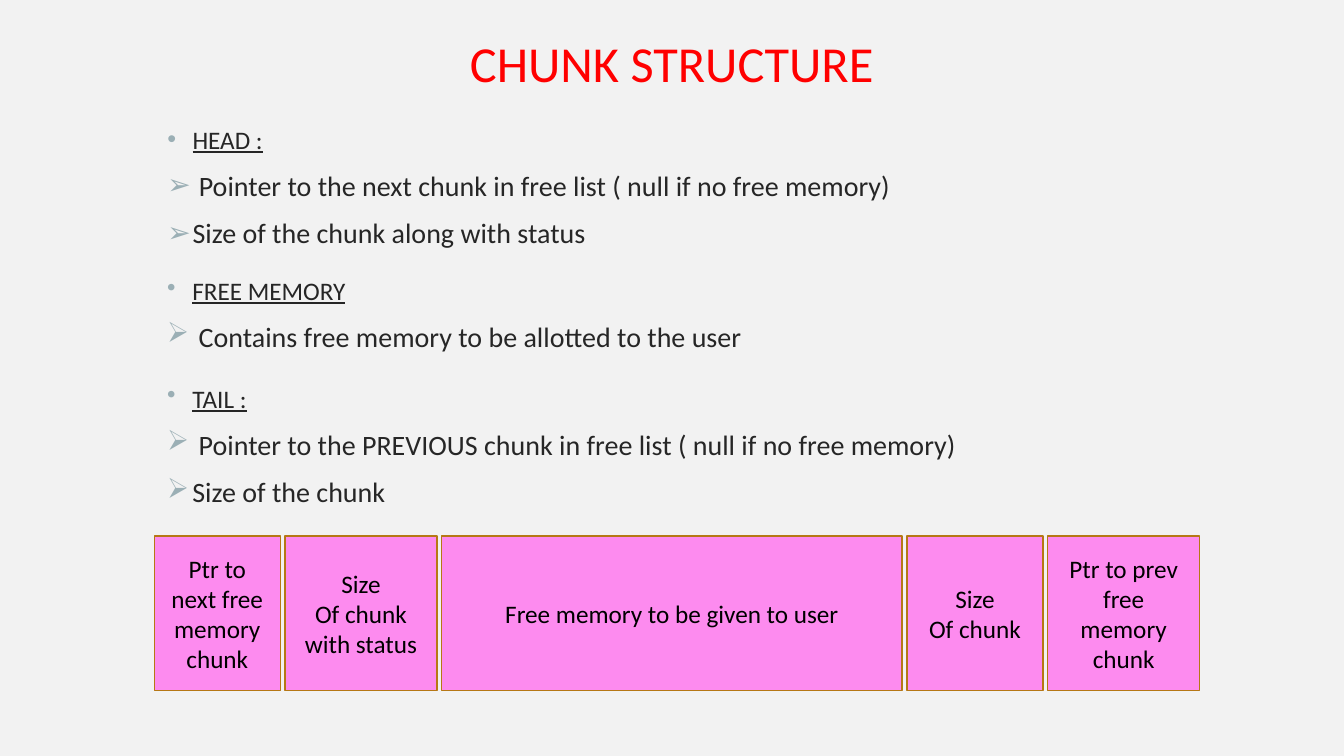
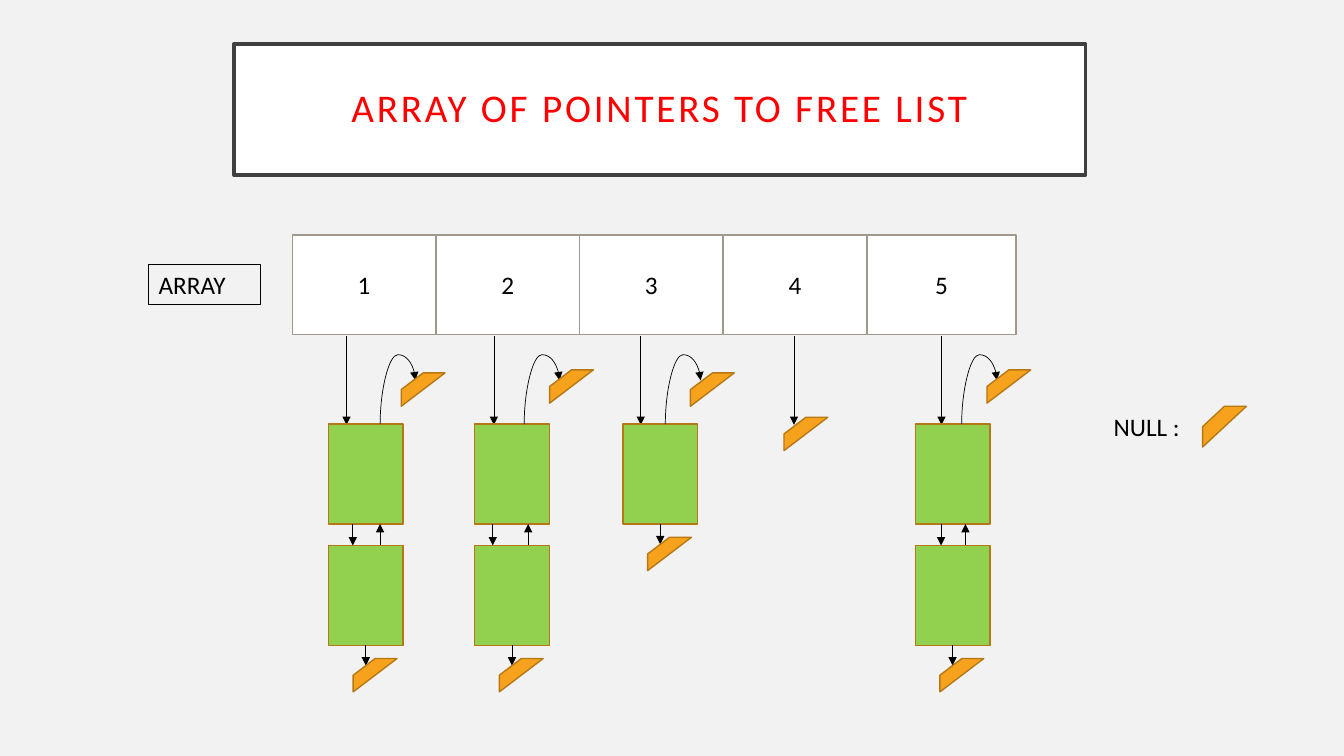
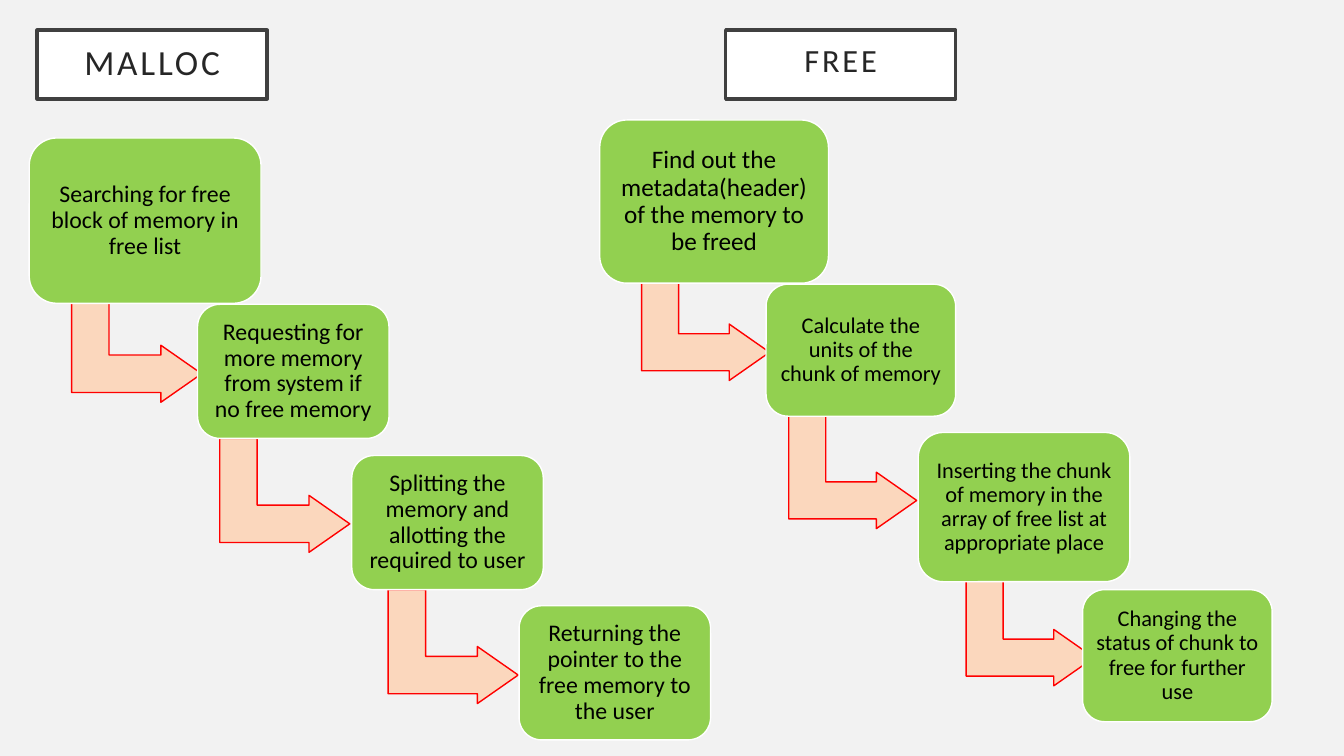
from dataclasses import dataclass

from lxml.etree import SubElement
from pptx import Presentation
from pptx.dml.color import RGBColor
from pptx.enum.shapes import MSO_CONNECTOR as Link, MSO_SHAPE as Preset
from pptx.enum.text import MSO_ANCHOR as Anchor, MSO_AUTO_SIZE as AutoSize, PP_ALIGN as Align
from pptx.oxml.ns import qn
from pptx.util import Pt


@dataclass(frozen=True)
class Theme:
    font: str = "Calibri"
    background: str = "F2F2F2"
    white: str = "FFFFFF"
    black: str = "000000"
    ink: str = "262626"
    frame: str = "404040"
    red: str = "FF0000"
    bullet: str = "9BAFB5"
    pink: str = "FD8BEF"
    green: str = "92D050"
    orange: str = "F6A21D"
    brown: str = "B67815"
    cell_line: str = "A0988C"
    peach: str = "FBD7BD"
    heading: float = 36
    banner: float = 28
    malloc: float = 25.2
    free: float = 23.1
    item: float = 20
    label: float = 18


theme = Theme()

CHUNK_LISTS = [
    ((112.3, 85, 634.3, 106.6), "HEAD :", [
        " Pointer to the next chunk in free list ( null if no free memory)",
        "Size of the chunk along with status"]),
    ((112.3, 193, 645.8, 64.8), "FREE MEMORY", [
        " Contains free memory to be allotted to the user"]),
    ((112.3, 270, 608.4, 100.8), "TAIL :", [
        " Pointer to the PREVIOUS chunk in free list ( null if no free memory)",
        "Size of the chunk "]),
]
CHUNK_FIELDS = [
    ("Ptr to next free memory chunk", 90),
    ("Size\nOf chunk with status", 108.7),
    ("Free memory to be given to user", 329),
    ("Size\nOf chunk", 97.2),
    ("Ptr to prev free memory chunk", 108.7),
]

ARRAY_CELLS = [("1", 102.6), ("2", 102.6), ("3", 102.6), ("4", 102.6), ("5", 106.6)]
FREE_LISTS = [
    dict(pointer=247.5, left=234.7, blocks=2, next=252, prev=271.5, curve=271.5, null=(286.6, 266.4)),
    dict(pointer=352.8, left=339.1, blocks=2, next=352, prev=377.3, curve=374.4, null=(392.6, 264.2)),
    dict(pointer=457.7, left=445, blocks=1, curve=475.2, null=(493.2, 266.4)),
    dict(pointer=567.2, blocks=0, null=(560, 298.1)),
    dict(pointer=672.5, left=653.8, blocks=2, next=672.2, prev=689.6, curve=686.9, null=(705, 264.2)),
]

MALLOC_STEPS = [
    ("Searching for free block of memory in free list", 17, (20.9, 98.6, 165.6, 118.1), (56.9, 200.2)),
    ("Requesting for more memory from system if no free memory", 17, (141.1, 217.4, 136.8, 95.8), (162.7, 307.4)),
    ("Splitting the memory and allotting the required to user", 17, (251.3, 325.4, 136.8, 95.8), (283, 415.4)),
    ("Returning the pointer to the free memory to the user", 17, (370.8, 432.7, 136.8, 95.8), None),
]
FREE_STEPS = [
    ("Find out the metadata(header) of the memory to be freed", 18, (428.4, 85.7, 163.4, 116.6), (463.7, 185.8)),
    ("Calculate the units of the chunk of memory", 16, (547.2, 203, 135.4, 94.3), (568.8, 291.6)),
    ("Inserting the chunk of memory in the array of free list at appropriate place", 16,
     (655.9, 308.9, 151.2, 106.6), (695.5, 403.9)),
    ("Changing the status of chunk to free for further use", 16, (773.3, 421.2, 135.4, 94.3), None),
]


def color(value):
    return RGBColor.from_string(value)


def points(box):
    return [Pt(length) for length in box]


def place(shape, box):
    shape.left, shape.top, shape.width, shape.height = points(box)


def write(shape, text, size, ink=theme.black, align=Align.CENTER, anchor=Anchor.MIDDLE,
          margin=None, line_spacing=None, tracking=None):
    frame = shape.text_frame
    frame.text = text
    frame.word_wrap = True
    frame.auto_size = AutoSize.NONE
    frame.vertical_anchor = anchor
    if margin is not None:
        frame.margin_left = frame.margin_right = frame.margin_top = frame.margin_bottom = Pt(margin)
    for paragraph in frame.paragraphs:
        paragraph.alignment = align
        if line_spacing:
            paragraph.line_spacing = line_spacing
        for run in paragraph.runs:
            run.font.name, run.font.size = theme.font, Pt(size)
            run.font.color.rgb = color(ink)
            if tracking:
                run.font._element.set("spc", str(tracking * 100))


def paint(shape, fill, line, width=1):
    if fill:
        shape.fill.solid()
        shape.fill.fore_color.rgb = color(fill)
    else:
        shape.fill.background()
    shape.line.color.rgb = color(line)
    shape.line.width = Pt(width)


def add_shape(slide, preset, box, fill, line, width=1):
    shape = slide.shapes.add_shape(preset, *points(box))
    shape.shadow.inherit = False
    paint(shape, fill, line, width)
    return shape


def add_banner(shape, text, size, ink, line_spacing=0.9):
    paint(shape, theme.white, theme.frame, 2.5)
    write(shape, text, size, ink, margin=14.4, line_spacing=line_spacing, tracking=2)


def add_arrow(slide, start, end, kind=Link.STRAIGHT):
    connector = slide.shapes.add_connector(kind, *points(start + end))
    connector.line.color.rgb = color(theme.black)
    connector.line.width = Pt(0.5)
    properties = connector.element.spPr
    SubElement(properties.find(qn("a:ln")), qn("a:tailEnd"), type="triangle")
    SubElement(properties, qn("a:effectLst"))
    return properties


def add_curve(slide, x, y, rise=31.3, run=25.2):
    left, top = x + (run - rise) / 2, y - (rise + run) / 2
    properties = add_arrow(slide, (left, top), (left + rise, top + run), Link.CURVE)
    transform = properties.find(qn("a:xfrm"))
    for name, value in (("rot", "5400000"), ("flipH", "1"), ("flipV", "1")):
        transform.set(name, value)
    guides = properties.find(qn("a:prstGeom")).find(qn("a:avLst"))
    SubElement(guides, qn("a:gd"), name="adj1", fmla="val 158600")


def add_null(slide, left, top, height=23.8):
    add_shape(slide, Preset.DIAGONAL_STRIPE, (left, top, 31.3, height), theme.orange, theme.brown)


def write_list(shape, heading, items):
    write(shape, "\n".join([heading] + items), theme.item, theme.ink, Align.LEFT, Anchor.TOP)
    for index, paragraph in enumerate(shape.text_frame.paragraphs):
        paragraph.space_before = Pt(10)
        properties = paragraph._p.get_or_add_pPr()
        properties.set("marL", str(Pt(18)))
        properties.set("indent", str(-Pt(18)))
        SubElement(SubElement(properties, qn("a:buClr")), qn("a:srgbClr"), val=theme.bullet)
        SubElement(properties, qn("a:buChar"), char="➢" if index else "•")
    heading_font = shape.text_frame.paragraphs[0].runs[0].font
    heading_font.size, heading_font.underline = Pt(theme.label), True


def add_row(slide, fields, left, top, height, gap, fill, line):
    for text, width in fields:
        field = add_shape(slide, Preset.RECTANGLE, (left, top, width, height), fill, line)
        write(field, text, theme.label)
        left += width + gap


def build_chunk(slide):
    title = slide.shapes.title
    place(title, (137.5, 19.4, 684.7, 51.1))
    write(title, "CHUNK STRUCTURE", theme.heading, theme.red, anchor=Anchor.TOP)
    for index, (box, heading, items) in enumerate(CHUNK_LISTS):
        if index:
            shape = slide.shapes.add_textbox(*points(box))
        else:
            shape = slide.placeholders[1]
            place(shape, box)
        write_list(shape, heading, items)
    add_row(slide, CHUNK_FIELDS, 110.2, 383, 110.2, 3.3, theme.pink, theme.brown)


def build_free_list(slide, column):
    first_top, width, height, pitch = 303, 53.3, 71.3, 86.6
    add_arrow(slide, (column["pointer"], 240), (column["pointer"], first_top + 0.5))
    if column["blocks"]:
        left = column["left"]
        for index in range(column["blocks"]):
            box = (left, first_top + index * pitch, width, height)
            add_shape(slide, Preset.RECTANGLE, box, theme.green, theme.brown)
        bottom = first_top + height
        if column["blocks"] > 1:
            next_top = first_top + pitch
            add_arrow(slide, (column["next"], bottom), (column["next"], next_top))
            add_arrow(slide, (column["prev"], next_top), (column["prev"], bottom))
            bottom += pitch
        center = left + width / 2
        add_arrow(slide, (center, bottom), (center, bottom + 14.5))
        add_null(slide, left + 17.6, bottom + 9.5)
        add_curve(slide, column["curve"], first_top)
    add_null(slide, *column["null"])


def build_array(slide):
    title = slide.shapes.title
    place(title, (167, 31.4, 608.4, 93.6))
    add_banner(title, "ARRAY OF POINTERS TO FREE LIST", theme.banner, theme.red)
    add_row(slide, ARRAY_CELLS, 208.8, 167.8, 71.3, 0, theme.white, theme.cell_line)
    for column in FREE_LISTS:
        build_free_list(slide, column)
    array_label = add_shape(slide, Preset.RECTANGLE, (106.2, 188.6, 79.9, 29.1), None, theme.black, 0.75)
    write(array_label, "ARRAY", theme.label, align=Align.LEFT, anchor=Anchor.TOP)
    add_null(slide, 859, 290.2, 29.1)
    null_label = slide.shapes.add_textbox(*points((788.4, 290.2, 71.3, 29.1)))
    write(null_label, "NULL :", theme.label, align=Align.LEFT, anchor=Anchor.TOP)


def build_steps(slide, steps, arrow_size):
    for text, size, box, arrow_at in steps:
        if arrow_at:
            arrow = add_shape(slide, Preset.BENT_UP_ARROW, arrow_at + arrow_size, theme.peach, theme.red)
            arrow.rotation = 90
            for index, value in enumerate((0.328, 0.25, 0.358)):
                arrow.adjustments[index] = value
        step = add_shape(slide, Preset.ROUNDED_RECTANGLE, box, theme.green, theme.white)
        step.adjustments[0] = 0.167
        write(step, text, size, margin=5, line_spacing=0.9)


def build_operations(slide):
    title = slide.shapes.title
    place(title, (26.6, 21.6, 164.2, 49))
    add_banner(title, "MALLOC", theme.malloc, theme.ink)
    build_steps(slide, MALLOC_STEPS, (81.4, 92.9))
    banner = add_shape(slide, Preset.RECTANGLE, (518.4, 21.6, 164.2, 49), theme.white, theme.frame)
    add_banner(banner, "FREE", theme.free, theme.ink, 0.7)
    build_steps(slide, FREE_STEPS, (80.6, 91.4))


presentation = Presentation()
presentation.slide_width, presentation.slide_height = Pt(960), Pt(540)
backdrop = presentation.slide_master.background.fill
backdrop.solid()
backdrop.fore_color.rgb = color(theme.background)
for layout, build in ((1, build_chunk), (5, build_array), (5, build_operations)):
    build(presentation.slides.add_slide(presentation.slide_layouts[layout]))
presentation.save("out.pptx")
